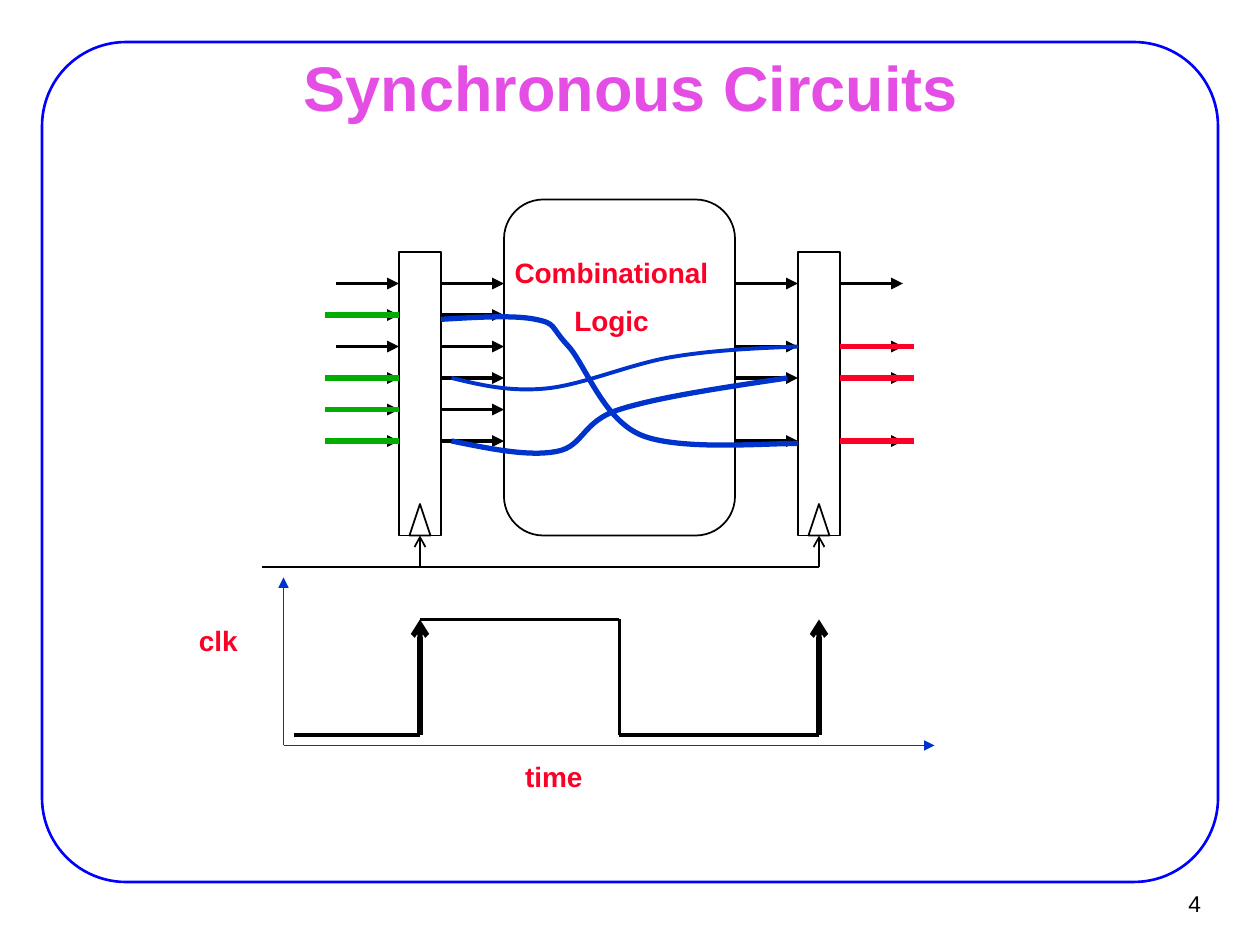
import pptx
import pptx.util
from lxml import etree
from pptx.dml.color import RGBColor
from pptx.enum.shapes import MSO_CONNECTOR, MSO_SHAPE
from pptx.enum.text import MSO_ANCHOR, PP_ALIGN
from pptx.oxml.ns import qn

Pt = pptx.util.Pt
BLACK, RED, BLUE, GREEN = "000000", "FC0128", "0033CC", "00AE00"
PINK, FRAME_BLUE, WHITE = "E44EE4", "0000FF", "FFFFFF"

TEXTS = [
    (["4"], (649.4, 502.9, 43.9, 26.6), 13, BLACK, False, PP_ALIGN.RIGHT, MSO_ANCHOR.MIDDLE, False),
    (["Synchronous Circuits"], (54.7, 31.7, 612, 35.3), 36, PINK, True, PP_ALIGN.CENTER, MSO_ANCHOR.MIDDLE, True),
    (["Combinational", "Logic"], (286.8, 142.6, 125.3, 55.4), 16, RED, True, PP_ALIGN.CENTER, MSO_ANCHOR.TOP, False),
    (["time"], (293, 430.6, 47.5, 26.6), 16, RED, True, PP_ALIGN.LEFT, MSO_ANCHOR.TOP, False),
    (["clk"], (106.6, 352.8, 36.7, 26.6), 16, RED, True, PP_ALIGN.LEFT, MSO_ANCHOR.TOP, False),
]

FIRST_ROW, ROW_GAP = 162, 18
ALL_ROWS, OUTPUT_ROWS = range(6), (0, 2, 3, 5)
ACTIVE_INPUTS, ACTIVE_OUTPUTS = (1, 3, 4, 5), (2, 3, 5)
WIRES = [
    (252, 288, ALL_ROWS, BLACK, 2.25, "triangle"),
    (192, 228, ALL_ROWS, BLACK, 2.25, "triangle"),
    (420, 456, OUTPUT_ROWS, BLACK, 2.25, "triangle"),
    (480, 516, OUTPUT_ROWS, BLACK, 2.25, "triangle"),
    (186, 228, ACTIVE_INPUTS, GREEN, 3, None),
    (480, 522, ACTIVE_OUTPUTS, RED, 3, None),
]

REGISTER_LEFTS = (228, 456)
REGISTER_TOP, REGISTER_WIDTH, REGISTER_HEIGHT = 144, 24, 162
NOTCH_WIDTH, NOTCH_HEIGHT = 12, 18
CLOCK_LINE = 324

LOW, HIGH = 420, 354
TIMING = [
    ((468, CLOCK_LINE), (150, CLOCK_LINE), BLACK, 1, None),
    ((168, LOW), (240, LOW), BLACK, 2.25, None),
    ((240, LOW), (240, HIGH), BLACK, 3, "arrow"),
    ((240, HIGH), (354, HIGH), BLACK, 2.25, None),
    ((354, LOW), (354, HIGH), BLACK, 2.25, None),
    ((354, LOW), (468, LOW), BLACK, 2.25, None),
    ((468, LOW), (468, HIGH), BLACK, 3, "arrow"),
    ((162, 426), (534, 426), BLUE, 1, "triangle"),
    ((162, 426), (162, 330), BLUE, 1, "triangle"),
]

SIGNAL_PATHS = [
    (3, [(258, 252), (280, 256.5), (302, 261), (318, 258), (334, 255), (332, 241),
         (354, 234), (376, 227), (413, 221.5), (450, 216)]),
    (3, [(252, 182.5), (273, 181.25), (294, 180), (306, 182.5), (318, 185), (314, 186),
         (324, 197), (334, 207), (344, 239), (366, 248.5), (388, 258), (441, 253), (456, 253.5)]),
    (2.25, [(258, 216), (274.5, 220), (291, 224), (312, 222), (333, 220), (360, 208),
            (384, 204), (408, 200), (432, 199), (456, 198)]),
]


def color(value):
    return RGBColor.from_string(value)


def style(shape, line, width, fill=None):
    shape.shadow.inherit = False
    if fill:
        shape.fill.solid()
        shape.fill.fore_color.rgb = color(fill)
    else:
        shape.fill.background()
    shape.line.color.rgb = color(line)
    shape.line.width = Pt(width)


def add_shape(page, kind, bounds, line, width, fill=None, corner=None):
    shape = page.shapes.add_shape(kind, *map(Pt, bounds))
    style(shape, line, width, fill)
    if corner:
        shape.adjustments[0] = corner


def add_line(page, start, end, line, width, tail=None):
    connector = page.shapes.add_connector(MSO_CONNECTOR.STRAIGHT, *map(Pt, start + end))
    connector.line.color.rgb = color(line)
    connector.line.width = Pt(width)
    if tail:
        etree.SubElement(connector.line._get_or_add_ln(), qn("a:tailEnd"), type=tail)
    etree.SubElement(connector._element.spPr, qn("a:effectLst"))


def add_text(page, lines, bounds, size, ink, bold, align, anchor, wrap):
    frame = page.shapes.add_textbox(*map(Pt, bounds)).text_frame
    frame.word_wrap = wrap
    frame.vertical_anchor = anchor
    for index, line in enumerate(lines):
        para = frame.add_paragraph() if index else frame.paragraphs[0]
        para.text = line
        para.alignment = align
        if index:
            para.space_before = Pt(size / 2)
        para.font.name = "Arial"
        para.font.size = Pt(size)
        para.font.bold = bold
        para.font.color.rgb = color(ink)


def add_curve(page, width, controls):
    builder = page.shapes.build_freeform(*map(Pt, controls[0]))
    builder.add_line_segments([tuple(map(Pt, point)) for point in controls[1:]], close=False)
    shape = builder.convert_to_shape()
    segments = list(shape._element.iter(qn("a:lnTo")))
    for first in range(0, len(segments), 3):
        curve = etree.Element(qn("a:cubicBezTo"))
        segments[first].addprevious(curve)
        for segment in segments[first:first + 3]:
            curve.append(segment[0])
            segment.getparent().remove(segment)
    style(shape, BLUE, width)


def add_register(page, left):
    center = left + REGISTER_WIDTH / 2
    bottom = REGISTER_TOP + REGISTER_HEIGHT
    add_shape(page, MSO_SHAPE.RECTANGLE, (left, REGISTER_TOP, REGISTER_WIDTH, REGISTER_HEIGHT),
              BLACK, 1, WHITE)
    notch = (center - NOTCH_WIDTH / 2, bottom - NOTCH_HEIGHT, NOTCH_WIDTH, NOTCH_HEIGHT)
    add_shape(page, MSO_SHAPE.ISOSCELES_TRIANGLE, notch, BLACK, 1, WHITE)
    add_line(page, (center, CLOCK_LINE), (center, bottom), BLACK, 1, "arrow")


def main():
    deck = pptx.Presentation()
    deck.slide_width, deck.slide_height = Pt(720), Pt(540)
    page = deck.slides.add_slide(deck.slide_layouts[6])
    add_shape(page, MSO_SHAPE.ROUNDED_RECTANGLE, (24, 24, 672, 480), FRAME_BLUE, 1.5, corner=0.1)
    for text in TEXTS:
        add_text(page, *text)
    add_shape(page, MSO_SHAPE.ROUNDED_RECTANGLE, (288, 114, 132, 192), BLACK, 1, corner=0.17)
    for left in REGISTER_LEFTS:
        add_register(page, left)
    for start, end, rows, ink, width, tail in WIRES:
        for row in rows:
            y = FIRST_ROW + row * ROW_GAP
            add_line(page, (start, y), (end, y), ink, width, tail)
    for segment in TIMING:
        add_line(page, *segment)
    for width, controls in SIGNAL_PATHS:
        add_curve(page, width, controls)
    deck.save("out.pptx")


if __name__ == "__main__":
    main()
